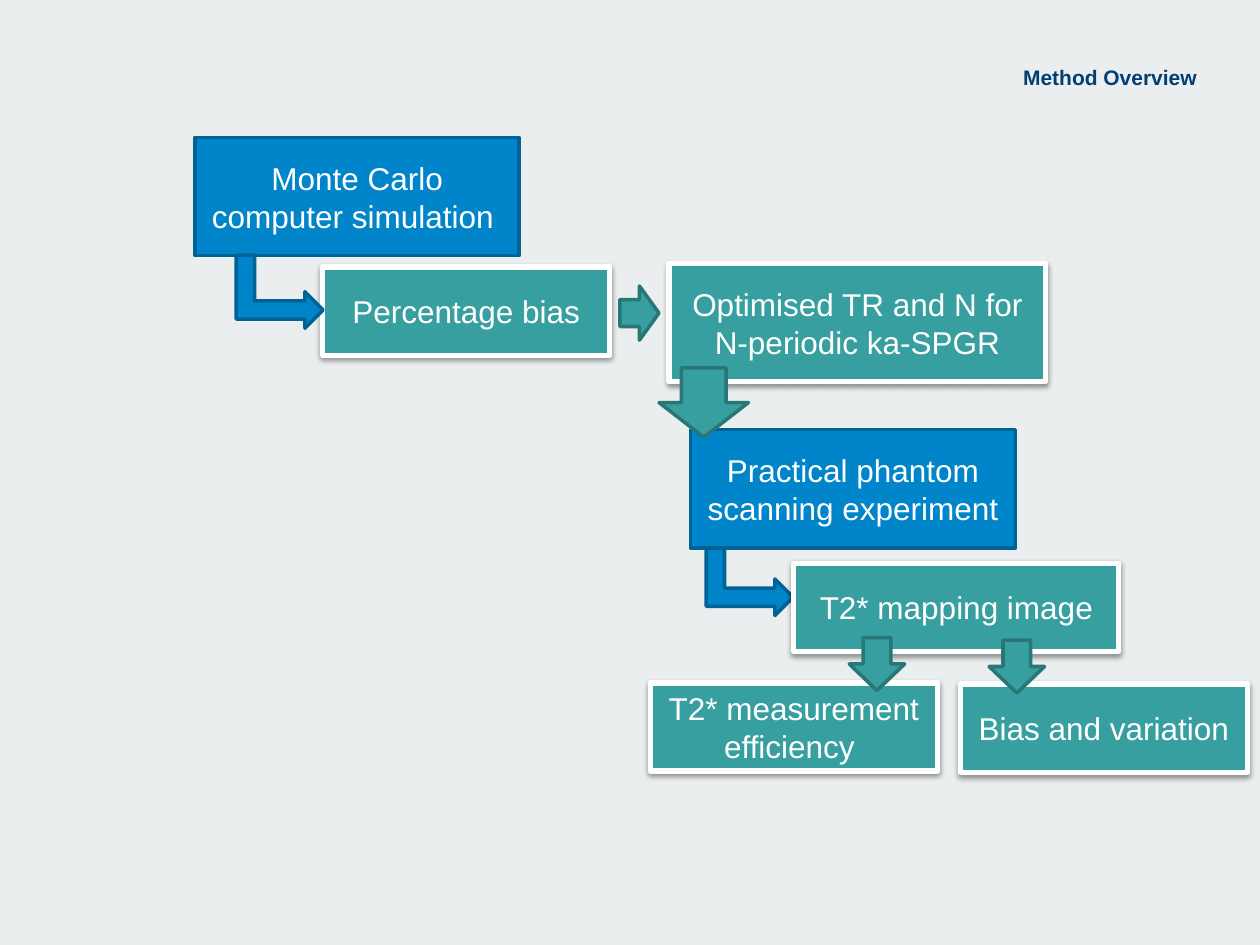
from dataclasses import dataclass

from lxml import etree
from pptx import Presentation
from pptx.dml.color import RGBColor
from pptx.enum.shapes import MSO_SHAPE
from pptx.enum.text import MSO_ANCHOR, PP_ALIGN
from pptx.oxml.ns import qn
from pptx.shapes.autoshape import Shape
from pptx.slide import Slide
from pptx.util import Inches, Pt

RECTANGLE = MSO_SHAPE.RECTANGLE
RIGHT_ARROW = MSO_SHAPE.RIGHT_ARROW
BENT_ARROW = MSO_SHAPE.BENT_UP_ARROW
MIDDLE = MSO_ANCHOR.MIDDLE
CENTER = PP_ALIGN.CENTER
RIGHT = PP_ALIGN.RIGHT


@dataclass(frozen=True)
class Theme:
    background: str = "EBEEEE"
    title: str = "003E74"
    blue: str = "0085CA"
    blue_line: str = "006295"
    teal: str = "379F9F"
    teal_line: str = "297676"
    white: str = "FFFFFF"
    shadow: str = "000000"
    font: str = "Arial"
    title_size: int = 12
    box_size: int = 18


THEME = Theme()


@dataclass(frozen=True)
class Style:
    fill: str
    line: str
    line_width: float = 2
    shadow: bool = False


STAGE = Style(THEME.blue, THEME.blue_line)
RESULT = Style(THEME.teal, THEME.white, 3, True)
FLOW = Style(THEME.teal, THEME.teal_line)


@dataclass(frozen=True)
class Box:
    text: str
    left: float
    top: float
    width: float
    height: float
    style: Style = RESULT


@dataclass(frozen=True)
class Arrow:
    left: float
    top: float
    width: float
    height: float
    rotation: int = 90
    kind: MSO_SHAPE = RIGHT_ARROW
    style: Style = FLOW


def bent_arrow(left: float, top: float) -> Arrow:
    return Arrow(left, top, 0.58, 0.69, kind=BENT_ARROW, style=STAGE)


ITEMS = [
    bent_arrow(5.66, 4.25),
    Box("Monte Carlo computer simulation ", 1.55, 1.09, 2.57, 0.94, STAGE),
    Box("Optimised TR and N for N-periodic ka-SPGR", 5.31, 2.09, 2.99, 0.94),
    Box("Practical phantom scanning experiment", 5.48, 3.41, 2.58, 0.94, STAGE),
    Box("Percentage bias", 2.56, 2.12, 2.28, 0.7),
    Box("Bias and variation", 7.62, 5.43, 2.28, 0.7),
    Box("T2* measurement efficiency ", 5.16, 5.42, 2.28, 0.7),
    Box("T2* mapping image", 6.3, 4.47, 2.58, 0.7),
    bent_arrow(1.93, 1.97),
    Arrow(4.92, 2.27, 0.31, 0.43, rotation=0),
    Arrow(5.31, 2.84, 0.55, 0.71),
    Arrow(7.86, 5.07, 0.42, 0.44),
    Arrow(6.75, 5.05, 0.42, 0.44),
]


def add_shadow(shape: Shape) -> None:
    effects = shape._element.spPr.find(qn("a:effectLst"))
    shadow = etree.SubElement(
        effects, qn("a:outerShdw"), blurRad=str(Pt(3.1)), dist=str(Pt(1.6)),
        dir="5400000", rotWithShape="0",
    )
    color = etree.SubElement(shadow, qn("a:srgbClr"), val=THEME.shadow)
    etree.SubElement(color, qn("a:alpha"), val="38000")


def format_text(shape: Shape, text: str, size: int, color: str,
                alignment: PP_ALIGN, bold: bool = False) -> None:
    text_frame = shape.text_frame
    text_frame.word_wrap = True
    text_frame.text = text
    paragraph = text_frame.paragraphs[0]
    paragraph.alignment = alignment
    font = paragraph.runs[0].font
    font.name = THEME.font
    font.size = Pt(size)
    font.bold = bold
    font.color.rgb = RGBColor.from_string(color)


def add_styled_shape(slide: Slide, kind: MSO_SHAPE, item: Box | Arrow) -> Shape:
    shape = slide.shapes.add_shape(
        kind, Inches(item.left), Inches(item.top),
        Inches(item.width), Inches(item.height),
    )
    style = item.style
    shape.fill.solid()
    shape.fill.fore_color.rgb = RGBColor.from_string(style.fill)
    shape.line.color.rgb = RGBColor.from_string(style.line)
    shape.line.width = Pt(style.line_width)
    shape.shadow.inherit = False
    if style.shadow:
        add_shadow(shape)
    return shape


def add_box(slide: Slide, box: Box) -> None:
    shape = add_styled_shape(slide, RECTANGLE, box)
    shape.text_frame.vertical_anchor = MIDDLE
    format_text(shape, box.text, THEME.box_size, THEME.white, CENTER)


def add_arrow(slide: Slide, arrow: Arrow) -> None:
    shape = add_styled_shape(slide, arrow.kind, arrow)
    shape.rotation = arrow.rotation


def add_title(slide: Slide, text: str) -> None:
    shape = slide.shapes.add_textbox(
        Inches(6.93), Inches(0.51), Inches(2.57), Inches(0.34)
    )
    text_frame = shape.text_frame
    text_frame.margin_left = text_frame.margin_right = 0
    text_frame.margin_top = text_frame.margin_bottom = 0
    format_text(shape, text, THEME.title_size, THEME.title, RIGHT, bold=True)


def main() -> None:
    presentation = Presentation()
    presentation.slide_width = Inches(10)
    presentation.slide_height = Inches(7.5)
    slide = presentation.slides.add_slide(presentation.slide_layouts[6])
    background = slide.background.fill
    background.solid()
    background.fore_color.rgb = RGBColor.from_string(THEME.background)

    add_title(slide, "Method Overview")
    for item in ITEMS:
        if isinstance(item, Box):
            add_box(slide, item)
        else:
            add_arrow(slide, item)
    presentation.save("out.pptx")


if __name__ == "__main__":
    main()
